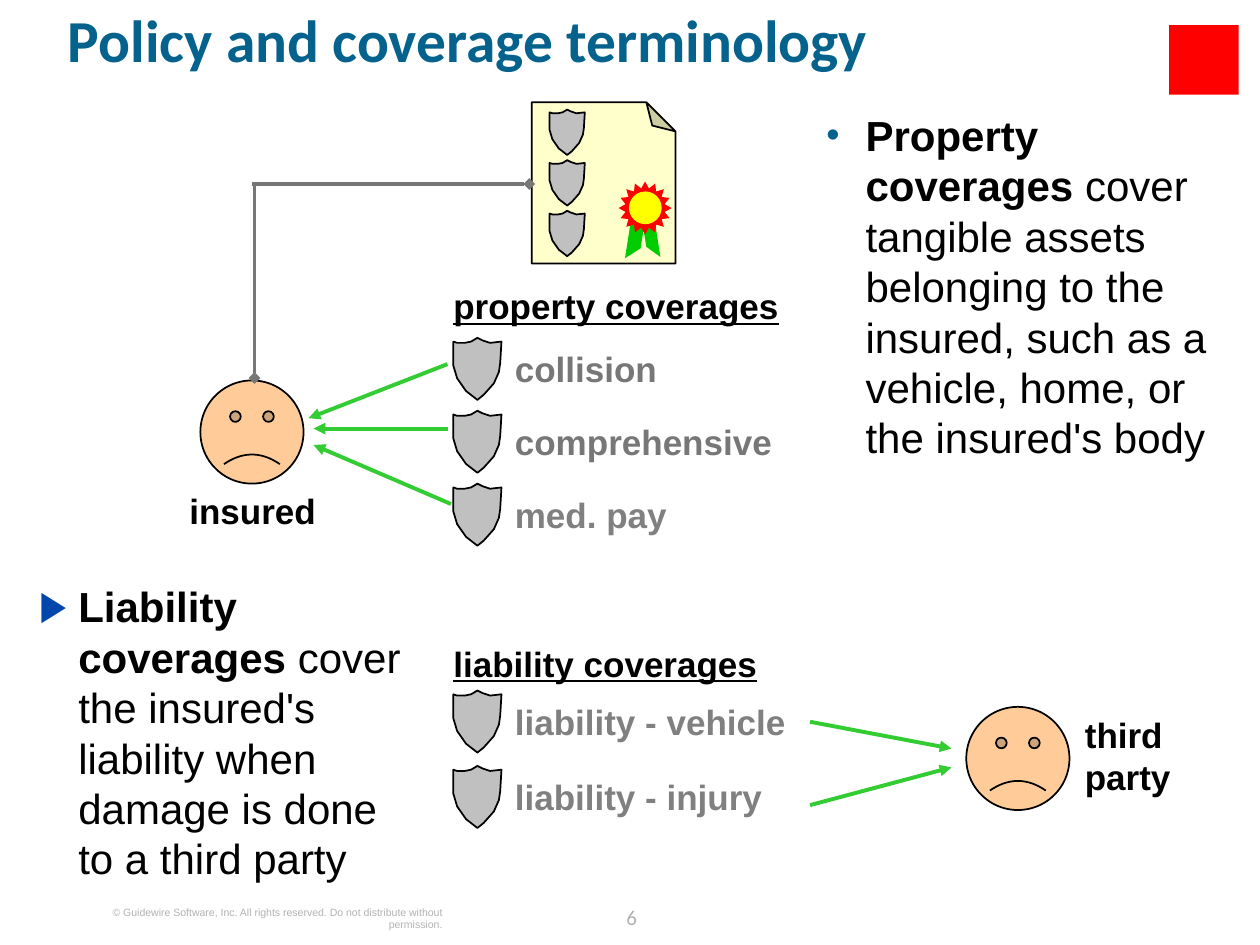
from lxml.etree import SubElement
from pptx import Presentation
from pptx.dml.color import RGBColor
from pptx.enum.shapes import MSO_CONNECTOR, MSO_SHAPE as Preset
from pptx.enum.text import MSO_ANCHOR, MSO_AUTO_SIZE, PP_ALIGN as Align
from pptx.oxml.ns import qn
from pptx.util import Cm, Pt

COLORS = {
    "title": "04628C", "arrow_bullet": "0146AD", "text": "000000",
    "label": "777777", "light_label": "808080", "footer": "B2B2B2",
    "shield": "C0C0C0", "paper": "FFFFCC", "ribbon": "00CC00",
    "rosette": "FF0000", "seal": "FFFF00", "skin": "FFCC99",
    "arrow": "33CC33", "link": "777777", "marker": "FF0000",
}
# Shield outline on a grid of 38 by 49 units
SHIELD = [(19, 49), (10, 42), (3, 32), (0, 22), (0, 11), (0, 3), (3, 4),
          (9, 4), (14, 3), (19, 0), (23, 2), (29, 4), (38, 3), (37, 20),
          (36, 27), (32, 36), (24, 45)]
LABEL = {"size": Pt(20), "bold": True}


def color(name):
    return RGBColor.from_string(COLORS[name])


def style_shape(shape, fill, outlined):
    shape.shadow.inherit = False
    shape.fill.solid()
    shape.fill.fore_color.rgb = color(fill)
    if outlined:
        shape.line.color.rgb = color("text")
        shape.line.width = Pt(1)
    else:
        shape.line.fill.background()


def add_preset(slide, preset, box, fill, outlined=False, adjust=None,
               rotation=0, flipped=False):
    shape = slide.shapes.add_shape(preset, *map(Cm, box))
    style_shape(shape, fill, outlined)
    if adjust is not None:
        # Written as XML, since some presets expose no adjustments
        guides = next(shape.element.spPr.iter(qn("a:avLst")))
        for guide in list(guides):
            guides.remove(guide)
        SubElement(guides, qn("a:gd"), name="adj",
                   fmla=f"val {round(adjust * 100000)}")
    shape.rotation = rotation
    if flipped:
        shape.element.spPr.xfrm.set("flipH", "1")


def add_shield(slide, left, top, width):
    builder = slide.shapes.build_freeform(*SHIELD[0], scale=Cm(width) / 38)
    builder.add_line_segments(SHIELD[1:], close=True)
    style_shape(builder.convert_to_shape(Cm(left), Cm(top)), "shield", True)


def add_line(slide, start, end, line_color, head):
    points = map(Cm, (*start, *end))
    line = slide.shapes.add_connector(MSO_CONNECTOR.STRAIGHT, *points)
    line.line.color.rgb = color(line_color)
    line.line.width = Pt(2.25)
    outline = line.element.spPr.find(qn("a:ln"))
    SubElement(outline, qn("a:tailEnd"), type=head)
    SubElement(line.element.spPr, qn("a:effectLst"))


def add_bullet(paragraph, character, bullet_color, percent):
    properties = paragraph._p.get_or_add_pPr()
    indent = Cm(0.79)
    properties.set("marL", str(indent))
    properties.set("indent", str(-indent))
    holder = SubElement(properties, qn("a:buClr"))
    SubElement(holder, qn("a:srgbClr"), val=COLORS[bullet_color])
    SubElement(properties, qn("a:buSzPct"), val=str(percent * 1000))
    SubElement(properties, qn("a:buFont"), typeface="Arial")
    SubElement(properties, qn("a:buChar"), char=character)


def add_text(slide, box, runs, text_color="text", align=Align.LEFT,
             line_spacing=None, bullet=None):
    """Place one paragraph; runs are (text, font values) pairs."""
    frame = slide.shapes.add_textbox(*map(Cm, box)).text_frame
    frame_format = {
        "margin_left": 0, "margin_right": 0, "margin_top": 0,
        "margin_bottom": 0, "word_wrap": True,
        "auto_size": MSO_AUTO_SIZE.NONE, "vertical_anchor": MSO_ANCHOR.TOP,
    }
    for name, value in frame_format.items():
        setattr(frame, name, value)
    paragraph = frame.paragraphs[0]
    paragraph.alignment = align
    if line_spacing:
        paragraph.line_spacing = line_spacing
    if bullet:
        add_bullet(paragraph, *bullet)
    for index, (text, values) in enumerate(runs):
        if index and not text.startswith(" "):
            paragraph.add_line_break()
        run = paragraph.add_run()
        run.text = text
        run.font.color.rgb = color(text_color)
        for name, value in {"name": "Arial", **values}.items():
            setattr(run.font, name, value)


def add_definition(slide, box, term, meaning, bullet):
    runs = [(term, {"size": Pt(24), "bold": True}),
            (meaning, {"size": Pt(24), "bold": False})]
    add_text(slide, box, runs, bullet=bullet)


def add_policy(slide, left, top, width, height):
    # The sheet lies on its side, so its folded corner points up
    offset = (width - height) / 2
    add_preset(slide, Preset.FOLDED_CORNER,
               (left + offset, top - offset, height, width),
               "paper", True, 0.203, 270)
    for row in range(3):
        add_shield(slide, left + 0.36, top + 0.15 + 1.02 * row, 0.71)
    # Rosette with two ribbons
    add_preset(slide, Preset.PARALLELOGRAM,
               (left + 1.6, top + 2.54, 0.99, 0.28),
               "ribbon", adjust=0.882, rotation=278.9, flipped=True)
    add_preset(slide, Preset.PARALLELOGRAM,
               (left + 1.88, top + 2.51, 1.02, 0.25),
               "ribbon", adjust=0.979, rotation=81.1)
    add_preset(slide, Preset.STAR_16_POINT,
               (left + 1.75, top + 1.6, 1.07, 1.07), "rosette", adjust=0.375)
    add_preset(slide, Preset.OVAL,
               (left + 1.96, top + 1.8, 0.66, 0.66), "seal")


def add_person(slide, left, top, size, lines, label_box, align):
    add_preset(slide, Preset.SMILEY_FACE, (left, top, size, size),
               "skin", True, -0.047)
    dx, dy, width, height = label_box
    add_text(slide, (left + dx, top + dy, width, height),
             [(line, LABEL) for line in lines], align=align)


def add_coverages(slide, left, top, heading, items, first, step, arrows):
    add_text(slide, (left, top, 6.83, 0.84),
             [(heading, {**LABEL, "underline": True})])
    for row, (name, label_color) in enumerate(items):
        y = top + first + step * row
        add_shield(slide, left, y, 0.97)
        add_text(slide, (left + 1.24, y + 0.2, 5.66, 0.84),
                 [(name, LABEL)], label_color)
    for x1, y1, x2, y2 in arrows:
        add_line(slide, (left + x1, top + y1), (left + x2, top + y2),
                 "arrow", "triangle")


def add_footer(slide, left, top):
    notice = ("© Guidewire Software, Inc. All rights reserved. "
              "Do not distribute without permission.")
    add_text(slide, (left, top + 0.15, 7.37, 0.25),
             [(notice, {"size": Pt(6)})], "footer", Align.RIGHT)
    add_text(slide, (left + 10.46, top, 1.45, 0.64),
             [("6", {"size": Pt(12), "name": "Calibri"})],
             "footer", Align.CENTER, Pt(18))


def main():
    presentation = Presentation()
    presentation.slide_width, presentation.slide_height = Cm(25.4), Cm(19.05)
    slide = presentation.slides.add_slide(presentation.slide_layouts[6])

    # Title and corner marker
    add_text(slide, (1.37, 0.33, 23.11, 2.06),
             [("Policy and coverage terminology",
               {"size": Pt(34), "bold": True, "name": "Calibri"})],
             "title", line_spacing=0.8)
    add_preset(slide, Preset.RECTANGLE, (23.57, 0.51, 1.4, 1.4), "marker")

    # Definitions
    add_definition(slide, (16.66, 2.21, 8.26, 7.37), "Property coverages",
                   " cover tangible assets belonging to the insured, such as "
                   "a vehicle, home, or the insured's body",
                   ("•", "title", 90))
    add_definition(slide, (0.79, 11.71, 7.62, 6.22), "Liability coverages",
                   " cover the insured's liability when damage is done to a "
                   "third party", ("▶", "arrow_bullet", 100))

    # Policy and people
    add_policy(slide, 10.72, 2.06, 2.9, 3.25)
    add_person(slide, 4.04, 7.67, 2.08, ["insured"],
               (-0.61, 2.19, 3.33, 0.84), Align.CENTER)
    add_person(slide, 19.48, 14.25, 2.08, ["third", "party"],
               (2.39, 0.13, 2.13, 1.7), Align.LEFT)

    # Coverages with arrows to the person they protect
    add_coverages(slide, 9.14, 5.74, "property coverages",
                  [("collision", "label"), ("comprehensive", "label"),
                   ("med. pay", "light_label")], 1.07, 1.47,
                  [(-0.12, 1.6, -2.92, 2.69), (-0.1, 2.9, -2.82, 2.9),
                   (-0.05, 4.42, -2.82, 3.23)])
    add_coverages(slide, 9.14, 12.95, "liability coverages",
                  [("liability - vehicle", "light_label"),
                   ("liability - injury", "light_label")], 0.97, 1.52,
                  [(7.19, 1.6, 10.04, 2.14), (7.19, 3.28, 10.04, 2.52)])

    # Link between the insured and the policy
    add_line(slide, (5.13, 3.66), (5.13, 7.62), "link", "diamond")
    add_line(slide, (5.08, 3.71), (10.67, 3.71), "link", "diamond")

    add_footer(slide, 1.55, 18.11)
    presentation.save("out.pptx")


if __name__ == "__main__":
    main()
